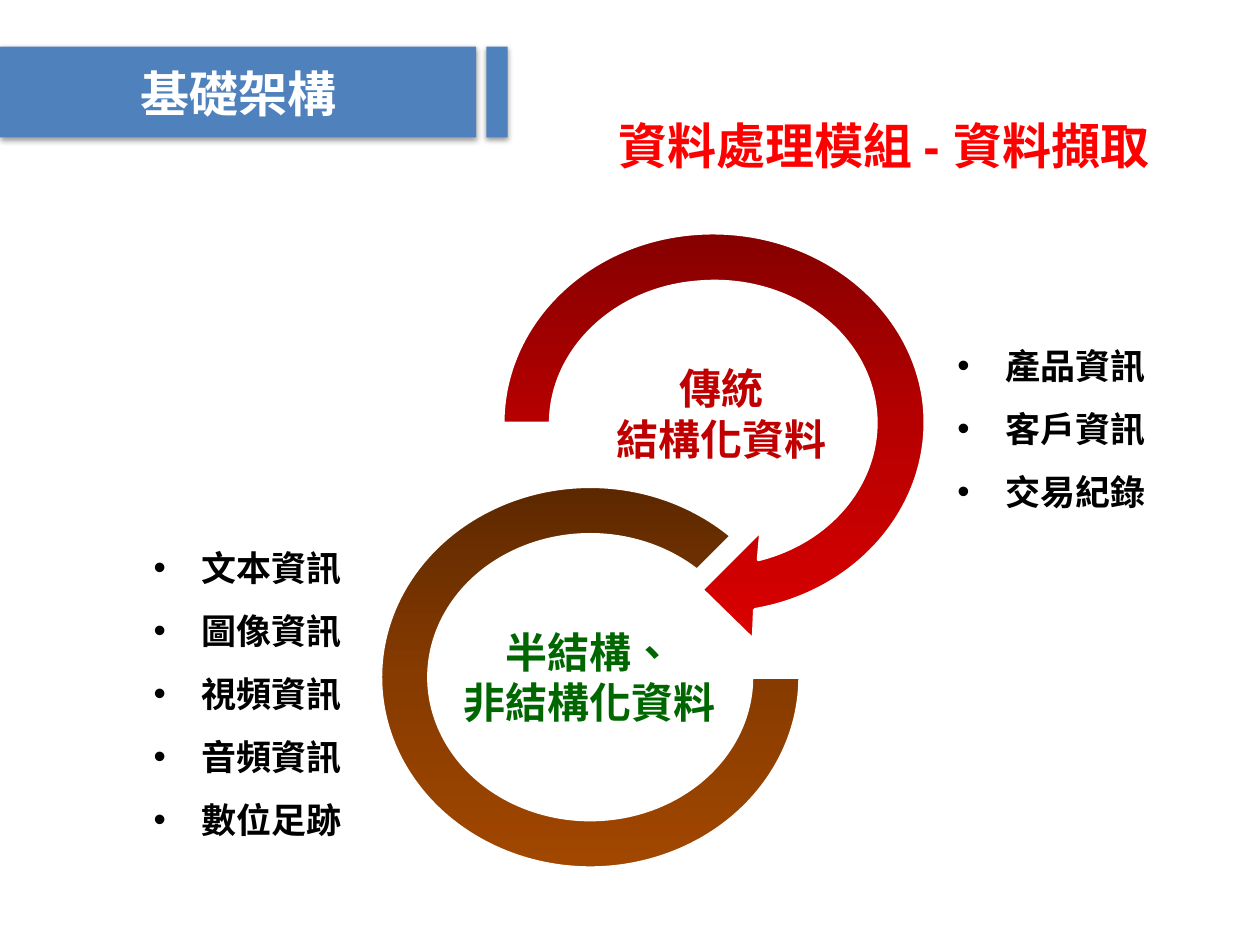
from copy import deepcopy

from lxml.etree import SubElement
from pptx import Presentation
from pptx.dml.color import RGBColor
from pptx.enum.shapes import MSO_SHAPE as Shape
from pptx.enum.text import MSO_ANCHOR as Anchor, MSO_AUTO_SIZE as AutoSize, PP_ALIGN as Align
from pptx.oxml.ns import qn
from pptx.util import Pt

PX = 9144  # 100 px to the inch

TITLE = ("基礎架構", (0, 45, 378, 57))
SUBTITLE = ("資料處理模組 - 資料擷取", (403, 87, 597, 58))
BANNER = [(0, 37, 378, 72), (386, 37, 17, 72)]
RING_LABELS = [
    (["傳統", "結構化資料"], (477, 283, 191, 89), "C00000"),
    (["半結構、", "非結構化資料"], (354, 492, 228, 89), "006600"),
]
BULLET_LISTS = [
    (["產品資訊", "客戶資訊", "交易紀錄"], (750, 252, 172, 161)),
    (["文本資訊", "圖像資訊", "視頻資訊", "音頻資訊", "數位足跡"], (112, 412, 172, 252)),
]
RED_STOPS = [(0, "7E0000"), (0.5, "B60000"), (1, "DB0000")]
BROWN_STOPS = [(0, "5D2800"), (0.5, "873B00"), (1, "A14700")]
BROWN_RING = (302, 386, 333, 303)
BROWN_ADJUSTMENTS = (0, 189, 0.127)  # start angle, end angle, band thickness

# Red arrow: outer arc, arrowhead, inner arc; three points make a Bezier curve
ARROW_BOX = (374, 160, 385, 352)
ARROW_PATH = [
    ("moveTo", [(399, 336)]),
    ("cubicBezTo", [(399, 256), (467, 190), (555, 185)]),
    ("cubicBezTo", [(643, 180), (721, 237), (733, 316)]),
    ("cubicBezTo", [(744, 395), (686, 469), (599, 484)]),
    ("lnTo", [(598, 508)]),
    ("lnTo", [(557, 468)]),
    ("lnTo", [(604, 421)]),
    ("lnTo", [(602, 444)]),
    ("cubicBezTo", [(666, 428), (705, 372), (693, 315)]),
    ("cubicBezTo", [(681, 258), (621, 218), (554, 224)]),
    ("cubicBezTo", [(488, 229), (437, 278), (437, 336)]),
    ("close", []),
]


def rgb(color):
    return RGBColor.from_string(color)


def emu(box):
    return [value * PX for value in box]


def place(shape, box):
    shape.left, shape.top, shape.width, shape.height = emu(box)


def write(shape, lines, size, color, font="Arial", align=Align.CENTER,
          spacing=None, bullet=False):
    frame = shape.text_frame
    frame.word_wrap = True
    frame.auto_size = AutoSize.NONE
    frame.vertical_anchor = Anchor.TOP
    for index, line in enumerate(lines):
        paragraph = frame.add_paragraph() if index else frame.paragraphs[0]
        if bullet:
            add_bullet(paragraph, color)
        paragraph.alignment = align
        if spacing:
            paragraph.line_spacing = spacing
        run = paragraph.add_run()
        run.text = line
        run.font.name, run.font.size, run.font.bold = font, Pt(size), True
        run.font.color.rgb = rgb(color)
        run._r.get_or_add_rPr().set("lang", "zh-TW")


def add_bullet(paragraph, color, indent=38):
    properties = paragraph._p.get_or_add_pPr()
    properties.set("marL", str(indent * PX))
    properties.set("indent", str(-indent * PX))
    bullet_color = SubElement(properties, qn("a:buClr"))
    SubElement(bullet_color, qn("a:srgbClr"), val=color)
    SubElement(properties, qn("a:buFont"), typeface="Arial")
    SubElement(properties, qn("a:buChar"), char="•")


def add_drop_shadow(shape):
    shape.shadow.inherit = False
    effects = shape._element.spPr.find(qn("a:effectLst"))
    shadow = SubElement(effects, qn("a:outerShdw"), blurRad=str(Pt(3.1)),
                        dist=str(Pt(1.6)), dir="5400000", rotWithShape="0")
    shadow_color = SubElement(shadow, qn("a:srgbClr"), val="000000")
    SubElement(shadow_color, qn("a:alpha"), val="38000")


def style_ring(shape, stops):
    """Give a ring its top-to-bottom gradient and white outline."""
    shape.shadow.inherit = False
    shape.fill.gradient()
    shape.fill.gradient_angle = 270
    stop_list = shape._element.spPr.find(qn("a:gradFill")).find(qn("a:gsLst"))
    stop_list.append(deepcopy(stop_list[0]))
    for stop, (position, color) in zip(shape.fill.gradient_stops, stops):
        stop.position = position
        stop.color.rgb = rgb(color)
    shape.line.color.rgb = rgb("FFFFFF")
    shape.line.width = Pt(2)


def add_curved_shape(shapes, box, commands):
    """Build a freeform as large as the box, then give it a path with curves."""
    left, top, width, height = box
    builder = shapes.build_freeform(left, top, scale=PX)
    builder.add_line_segments([(left + width, top + height)])
    shape = builder.convert_to_shape()
    outline = next(shape._element.iter(qn("a:path")))
    for child in list(outline):
        outline.remove(child)
    for command, points in commands:
        step = SubElement(outline, qn(f"a:{command}"))
        for x, y in points:
            SubElement(step, qn("a:pt"), x=str(x - left), y=str(y - top))
    return shape


def main():
    presentation = Presentation()
    presentation.slide_width, presentation.slide_height = emu((1000, 750))
    slide = presentation.slides.add_slide(presentation.slide_layouts[5])
    shapes = slide.shapes

    for box in BANNER:
        bar = shapes.add_shape(Shape.RECTANGLE, *emu(box))
        bar.fill.solid()
        bar.fill.fore_color.rgb = rgb("4F81BD")
        bar.line.fill.background()
        add_drop_shadow(bar)

    heading, box = SUBTITLE
    write(shapes.add_textbox(*emu(box)), [heading], 28, "FF0000")

    style_ring(add_curved_shape(shapes, ARROW_BOX, ARROW_PATH), RED_STOPS)

    brown_ring = shapes.add_shape(Shape.BLOCK_ARC, *emu(BROWN_RING))
    for index, value in enumerate(BROWN_ADJUSTMENTS):
        brown_ring.adjustments[index] = value
    style_ring(brown_ring, BROWN_STOPS)

    for lines, box, color in RING_LABELS:
        write(shapes.add_textbox(*emu(box)), lines, 24, color)
    for items, box in BULLET_LISTS:
        write(shapes.add_textbox(*emu(box)), items, 20, "000000",
              align=Align.LEFT, spacing=1.5, bullet=True)

    heading, box = TITLE
    title = shapes.title
    place(title, box)
    write(title, [heading], 28, "FFFFFF", font="Times New Roman")
    title._element.getparent().append(title._element)  # in front of the banner

    presentation.save("out.pptx")


if __name__ == "__main__":
    main()
